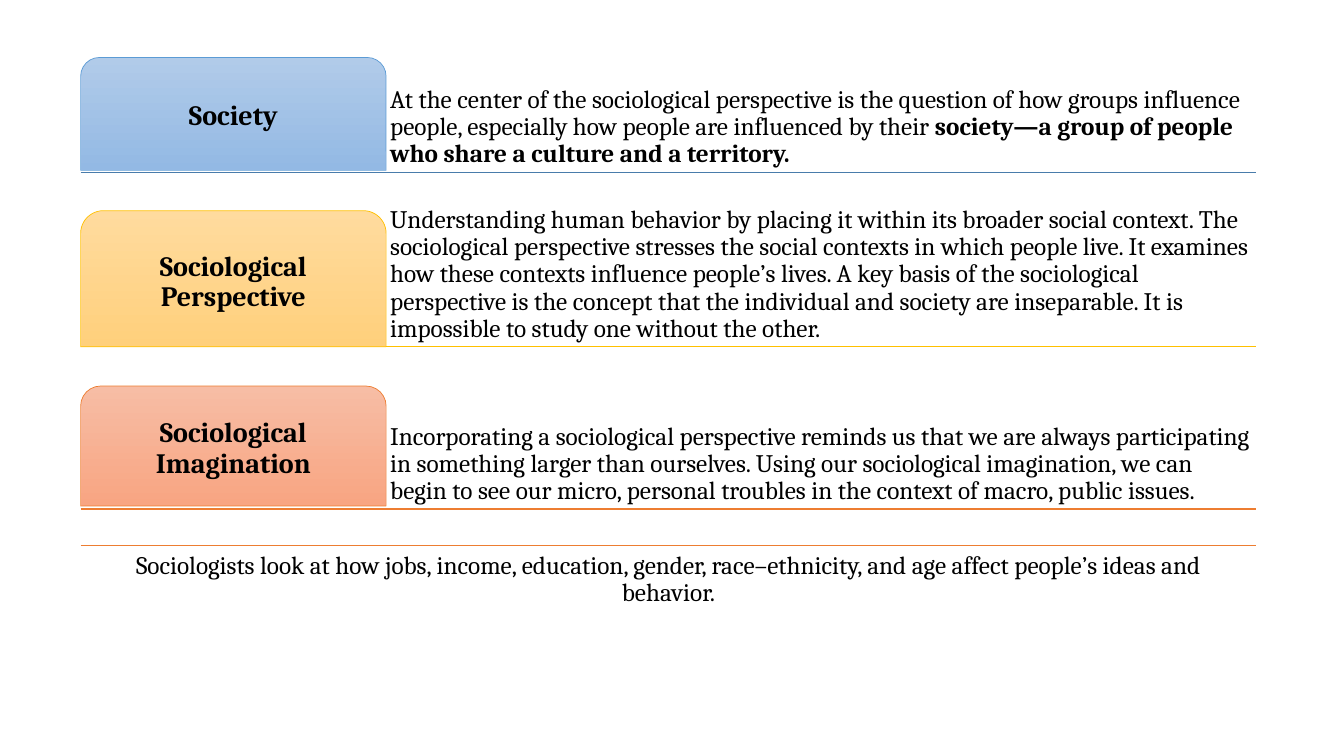
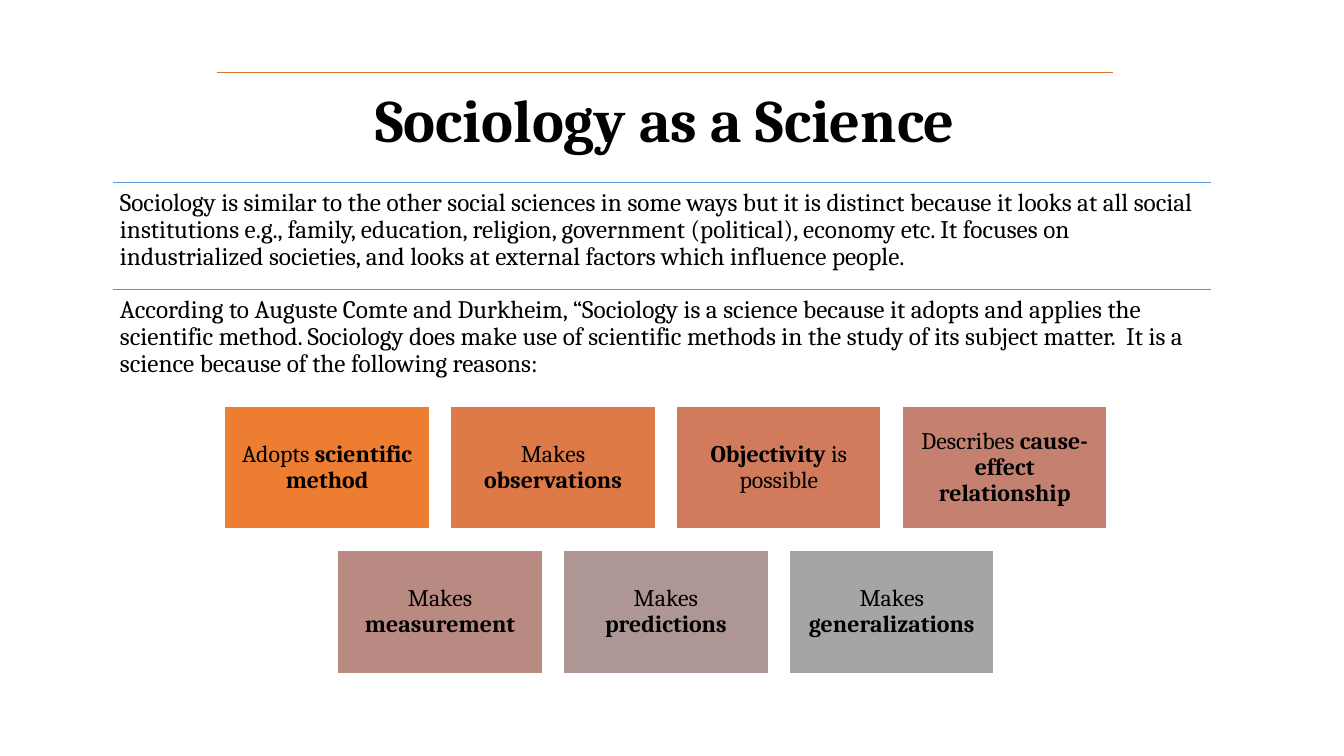
from dataclasses import dataclass

from lxml.etree import SubElement
from pptx import Presentation
from pptx.dml.color import RGBColor
from pptx.enum.shapes import MSO_CONNECTOR, MSO_SHAPE
from pptx.enum.text import MSO_ANCHOR, MSO_AUTO_SIZE, PP_ALIGN
from pptx.oxml.ns import qn
from pptx.util import Pt

PX = 9144


@dataclass(frozen=True)
class Theme:
    font: str = "Cambria"
    text: str = "000000"
    paper: str = "FFFFFF"
    blue: str = "5B9BD5"
    steel: str = "497CAB"
    gold: str = "FFC000"
    orange: str = "ED7D31"
    rust: str = "D7712C"
    blue_fade: tuple = ("B1CBE9", "93B9E4")
    gold_fade: tuple = ("FFDB9E", "FFD07C")
    orange_fade: tuple = ("F7BDA5", "F8A582")
    tiles: tuple = ("ED7D31", "DE7A47", "D17B5C", "C48170", "B98A82", "AE9694", "A5A5A5")
    title_size: int = 43
    label_size: int = 20
    body_size: int = 18
    tile_size: int = 17
    line_spacing: float = 0.9


THEME = Theme()

TERMS = [
    (57, 112, 171, THEME.steel, THEME.blue, THEME.blue_fade, "Society",
     "At the center of the sociological perspective is the question of how groups influence people, "
     "especially how people are influenced by their "
     "**society—a group of people who share a culture and a territory.**"),
    (209, 135, 344, THEME.gold, THEME.gold, THEME.gold_fade, "Sociological Perspective",
     "Understanding human behavior by placing it within its broader social context. The sociological "
     "perspective stresses the social contexts in which people live. It examines how these contexts "
     "influence people’s lives. A key basis of the sociological perspective is the concept that the "
     "individual and society are inseparable. It is impossible to study one without the other."),
    (383, 119, 505, THEME.orange, THEME.orange, THEME.orange_fade, "Sociological Imagination",
     "Incorporating a sociological perspective reminds us that we are always participating in something "
     "larger than ourselves. Using our sociological imagination, we can begin to see our micro, personal "
     "troubles in the context of macro, public issues."),
]
SUMMARY = ("Sociologists look at how jobs, income, education, gender, race–ethnicity, and age affect "
           "people’s ideas and behavior.")
PASSAGES = [
    (181, THEME.blue,
     "Sociology is similar to the other social sciences in some ways but it is distinct because it looks "
     "at all social institutions e.g., family, education, religion, government (political), economy etc. "
     "It focuses on industrialized societies, and looks at external factors which influence people."),
    (287, THEME.rust,
     "According to Auguste Comte and Durkheim, “Sociology is a science because it adopts and applies the "
     "scientific method. Sociology does make use of scientific methods in the study of its subject "
     "matter.  It is a science because of the following reasons:"),
]
REASON_ROWS = [
    ["Adopts **scientific method**", "Makes **observations**", "**Objectivity** is possible",
     "Describes **cause-effect relationship**"],
    ["Makes **measurement**", "Makes **predictions**", "Makes **generalizations**"],
]


def rgb(color):
    return RGBColor.from_string(color)


def apply(obj, values):
    for name, value in values.items():
        setattr(obj, name, value)


def place(sp, left, top, width, height):
    apply(sp, {"left": left * PX, "top": top * PX, "width": width * PX, "height": height * PX})


def write(sp, text, size, inset, align=PP_ALIGN.LEFT, anchor=MSO_ANCHOR.TOP, bold=False):
    tf = sp.text_frame
    apply(tf, {"word_wrap": True, "auto_size": MSO_AUTO_SIZE.NONE, "vertical_anchor": anchor})
    apply(tf, {f"margin_{side}": inset * PX for side in ("left", "top", "right", "bottom")})
    p = tf.paragraphs[0]
    apply(p, {"alignment": align, "line_spacing": THEME.line_spacing, "space_before": Pt(0)})
    for i, part in enumerate(text.split("**")):
        if part:
            r = p.add_run()
            r.text = part
            apply(r.font, {"name": THEME.font, "size": Pt(size), "bold": bold or i % 2 == 1})
            r.font.color.rgb = rgb(THEME.text)


def add_text(s, box, text, **style):
    sp = s.shapes.add_textbox(*(v * PX for v in box))
    write(sp, text, THEME.body_size, **style)


def add_rule(s, left, y, width, color):
    line = s.shapes.add_connector(MSO_CONNECTOR.STRAIGHT, left * PX, y * PX, (left + width) * PX, y * PX)
    line.line.color.rgb = rgb(color)
    line.line.width = Pt(1)
    SubElement(line._element.spPr, qn("a:effectLst"))


def add_block(s, kind, box, outline, weight):
    sp = s.shapes.add_shape(kind, *(v * PX for v in box))
    sp.shadow.inherit = False
    sp.line.color.rgb = rgb(outline)
    sp.line.width = Pt(weight)
    return sp


def add_card(s, box, text, outline, fade):
    sp = add_block(s, MSO_SHAPE.ROUND_2_SAME_RECTANGLE, box, outline, 0.5)
    sp.fill.gradient()
    sp.fill.gradient_angle = 270
    for stop, color in zip(sp.fill.gradient_stops, fade):
        stop.color.rgb = rgb(color)
    write(sp, text, THEME.label_size, 4, PP_ALIGN.CENTER, MSO_ANCHOR.MIDDLE, bold=True)


def add_tile(s, box, text, color):
    sp = add_block(s, MSO_SHAPE.RECTANGLE, box, THEME.paper, 1)
    sp.fill.solid()
    sp.fill.fore_color.rgb = rgb(color)
    write(sp, text, THEME.tile_size, 7, PP_ALIGN.CENTER, MSO_ANCHOR.MIDDLE)


def add_tile_grid(s, rows, center, top, width, height, gap):
    colors = iter(THEME.tiles)
    for row, labels in enumerate(rows):
        left = center - (len(labels) * (width + gap) - gap) // 2
        for col, label in enumerate(labels):
            box = (left + col * (width + gap), top + row * (height + gap), width, height)
            add_tile(s, box, label, next(colors))


def build_terms(prs):
    s = prs.slides.add_slide(prs.slide_layouts[6])
    left, width, card_width = 80, 1166, 303
    for top, card_height, rule_y, rule, outline, fade, label, text in TERMS:
        add_rule(s, left, rule_y, width, rule)
        add_text(s, (left + card_width, top, width - card_width, rule_y - top), text,
                 inset=4, anchor=MSO_ANCHOR.BOTTOM)
        add_card(s, (left, top, card_width, card_height), label, outline, fade)
    add_rule(s, left, 541, width, THEME.orange)
    add_text(s, (left, 541, width, 80), SUMMARY, inset=7, align=PP_ALIGN.CENTER)


def build_science(prs):
    s = prs.slides.add_slide(prs.slide_layouts[5])
    title = s.shapes.title
    place(title, 215, 72, 889, 97)
    write(title, "Sociology as a Science", THEME.title_size, 18, PP_ALIGN.CENTER, bold=True)
    add_rule(s, 215, 72, 889, THEME.rust)
    for y, color, text in PASSAGES:
        add_rule(s, 112, y, 1089, color)
        add_text(s, (112, y, 1089, 106), text, inset=7)
    add_tile_grid(s, REASON_ROWS, center=660, top=403, width=203, height=122, gap=21)


def main():
    prs = Presentation()
    apply(prs, {"slide_width": 1333 * PX, "slide_height": 750 * PX})
    build_terms(prs)
    build_science(prs)
    prs.save("out.pptx")


if __name__ == "__main__":
    main()
